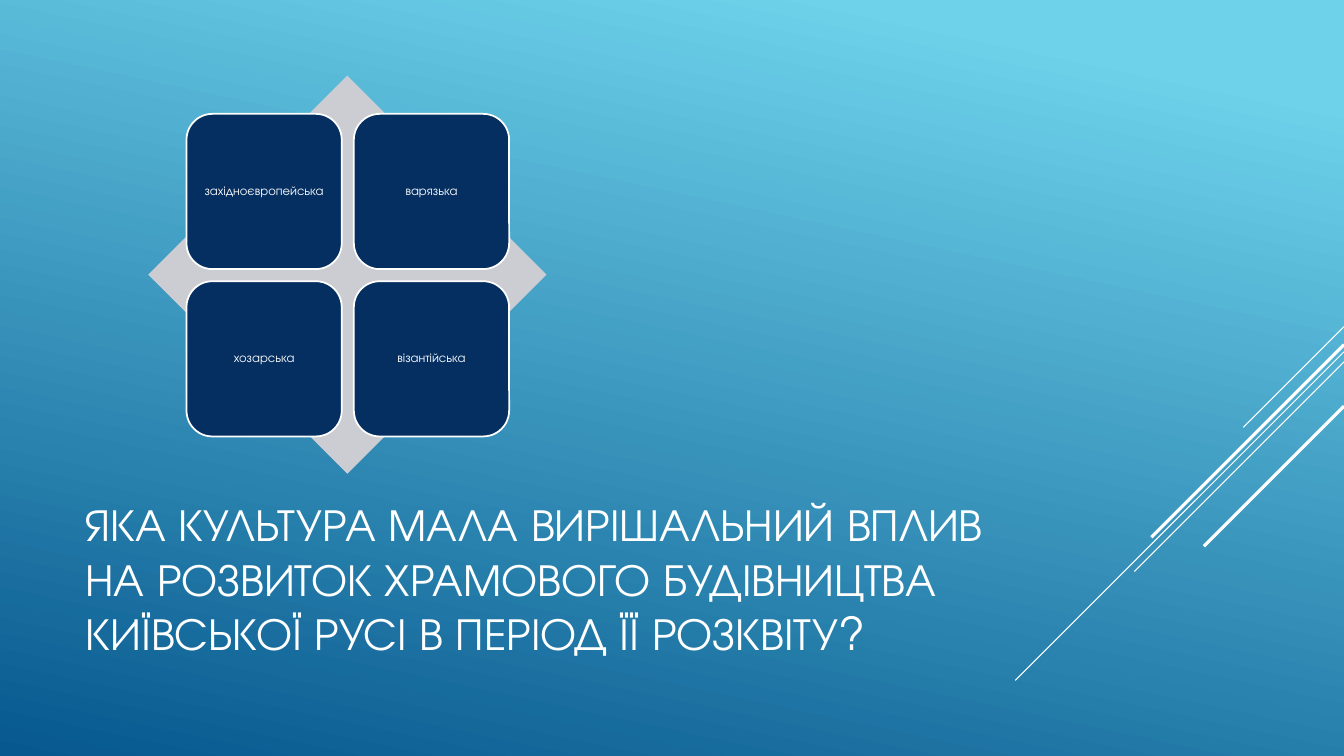
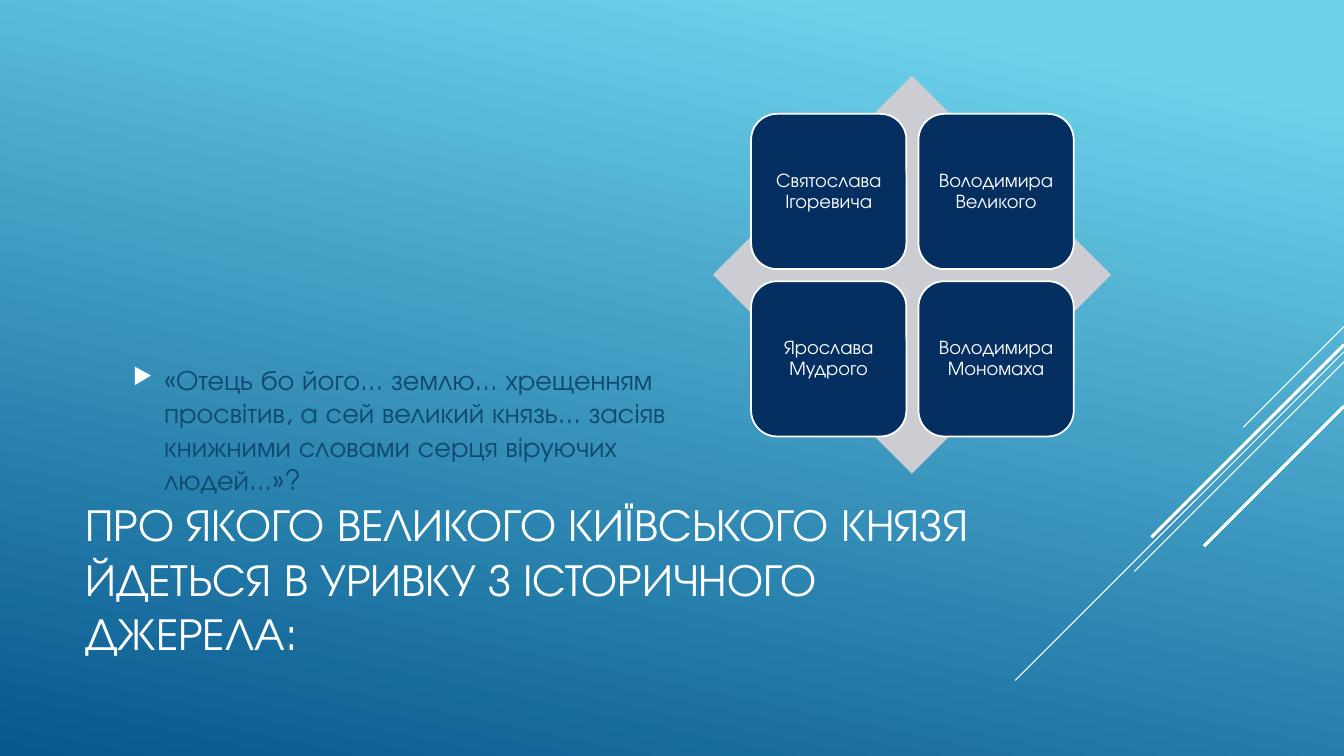
from lxml import etree
from pptx import Presentation
from pptx import util as u
from pptx.dml.color import RGBColor
from pptx.enum import shapes, text
from pptx.oxml.ns import qn

COLORS = {
    "sky": "6ED2EB",
    "sea": "06588E",
    "white": "FFFFFF",
    "diamond": "CCCDD2",
    "tile": "052F61",
    "quote": "0F496F",
}
FONT = "TeX Gyre Adventor"
STREAKS = [
    (3.24, 1.0, 0.75),
    (3.49, 3.26, 0.75),
    (3.59, 2.08, 0.75),
    (3.42, 1.91, 2.25),
    (4.03, 1.39, 2.25),
]
DIAMOND_TOP, DIAMOND_SIZE = 0.75, 3.95
TILE_OFFSET, TILE_SIZE, TILE_STEP = 0.38, 1.54, 1.66

QUESTIONS = [
    {
        "title": "ЯКА КУЛЬТУРА МАЛА ВИРІШАЛЬНИЙ ВПЛИВ НА РОЗВИТОК ХРАМОВОГО "
                 "БУДІВНИЦТВА КИЇВСЬКОЇ РУСІ В ПЕРІОД ЇЇ РОЗКВІТУ?",
        "quote": None,
        "answers": ["західноєвропейська", "варязька", "хозарська", "візантійська"],
        "diamond_left": 1.47,
        "answer_size": 9,
        "inset": 0.04,
    },
    {
        "title": "ПРО ЯКОГО ВЕЛИКОГО КИЇВСЬКОГО КНЯЗЯ ЙДЕТЬСЯ В УРИВКУ "
                 "З ІСТОРИЧНОГО ДЖЕРЕЛА:",
        "quote": "«Отець бо його... землю... хрещенням просвітив, а сей великий "
                 "князь... засіяв книжними словами серця віруючих людей...»?",
        "answers": ["Святослава Ігоревича", "Володимира Великого",
                    "Ярослава Мудрого", "Володимира Мономаха"],
        "diamond_left": 7.07,
        "answer_size": 14,
        "inset": 0.06,
    },
]


def write(shape, content, size, color):
    frame = shape.text_frame
    frame.word_wrap = True
    frame.vertical_anchor = text.MSO_ANCHOR.MIDDLE
    frame.text = content
    paragraph = frame.paragraphs[0]
    font = paragraph.runs[0].font
    font.name = FONT
    font.size = u.Pt(size)
    font.color.rgb = RGBColor.from_string(COLORS[color])
    return paragraph


def add_filled(slide, kind, left, top, size, color):
    shape = slide.shapes.add_shape(
        kind, u.Inches(left), u.Inches(top), u.Inches(size), u.Inches(size))
    shape.shadow.inherit = False
    shape.fill.solid()
    shape.fill.fore_color.rgb = RGBColor.from_string(COLORS[color])
    shape.line.fill.background()
    return shape


presentation = Presentation()
presentation.slide_width = u.Inches(13.33)
presentation.slide_height = u.Inches(7.5)

background = presentation.slide_master.background.fill
background.gradient()
background.gradient_angle = 360 - 102
for stop, color, position in zip(background.gradient_stops, ("sky", "sea"), (0.1, 1)):
    stop.color.rgb = RGBColor.from_string(COLORS[color])
    stop.position = position

for question in QUESTIONS:
    slide = presentation.slides.add_slide(presentation.slide_layouts[6])

    for top, reach, width in STREAKS:
        streak = slide.shapes.add_connector(
            shapes.MSO_CONNECTOR.STRAIGHT,
            u.Inches(13.33), u.Inches(top),
            u.Inches(13.33 - reach), u.Inches(top + reach))
        streak.line.color.rgb = RGBColor.from_string(COLORS["white"])
        streak.line.width = u.Pt(width)
        etree.SubElement(streak.line._get_or_add_ln().getparent(), qn("a:effectLst"))

    title = slide.shapes.add_textbox(
        u.Inches(0.75), u.Inches(4.91), u.Inches(9.33), u.Inches(1.65))
    write(title, question["title"], 32.4, "white")

    if question["quote"]:
        quote = slide.shapes.add_textbox(
            u.Inches(1.22), u.Inches(3.46), u.Inches(5.5), u.Inches(1.6))
        paragraph = write(quote, question["quote"], 20, "quote")
        properties = paragraph._p.get_or_add_pPr()
        properties.set("marL", str(u.Inches(0.31)))
        properties.set("indent", str(-u.Inches(0.31)))
        bullet_color = etree.SubElement(properties, qn("a:buClr"))
        etree.SubElement(bullet_color, qn("a:srgbClr"), val=COLORS["white"])
        etree.SubElement(properties, qn("a:buSzPct"), val="80000")
        etree.SubElement(properties, qn("a:buChar"), char="▶")

    left = question["diamond_left"]
    add_filled(slide, shapes.MSO_SHAPE.DIAMOND, left, DIAMOND_TOP, DIAMOND_SIZE, "diamond")

    for index, answer in enumerate(question["answers"]):
        row, column = divmod(index, 2)
        tile = add_filled(
            slide, shapes.MSO_SHAPE.ROUNDED_RECTANGLE,
            left + TILE_OFFSET + column * TILE_STEP,
            DIAMOND_TOP + TILE_OFFSET + row * TILE_STEP,
            TILE_SIZE, "tile")
        tile.line.color.rgb = RGBColor.from_string(COLORS["white"])
        tile.line.width = u.Pt(1.25)
        paragraph = write(tile, answer, question["answer_size"], "white")
        paragraph.alignment = text.PP_ALIGN.CENTER
        paragraph.line_spacing = 0.9
        frame = tile.text_frame
        frame.margin_left = frame.margin_right = u.Inches(question["inset"])
        frame.margin_top = frame.margin_bottom = u.Inches(question["inset"])

presentation.save("out.pptx")
